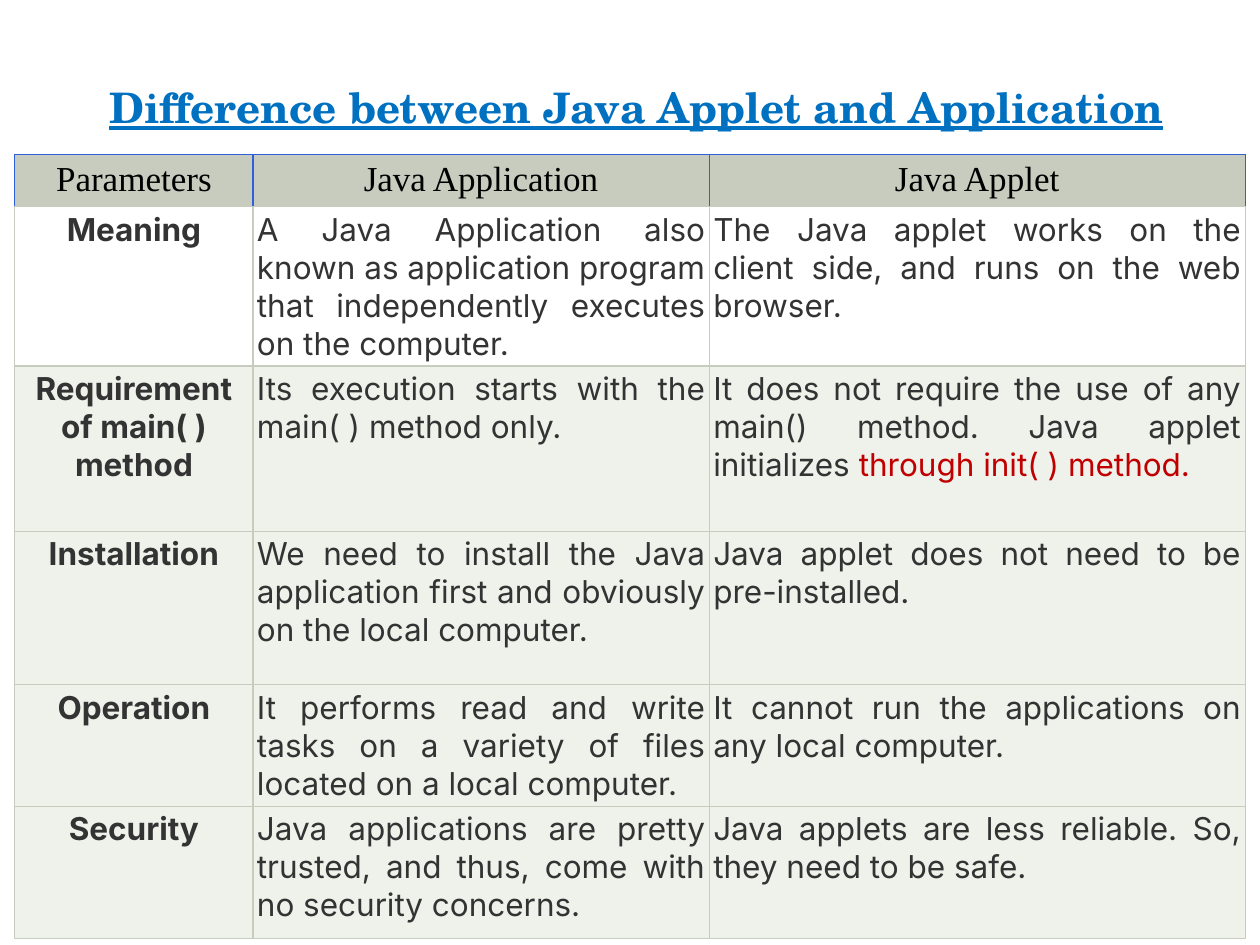
from lxml.etree import SubElement as Sub
from pptx import Presentation
from pptx.dml.color import RGBColor as RGB
from pptx.enum.text import PP_ALIGN as Align
from pptx.oxml.ns import qn
from pptx.util import Cm, Pt

BLACK = RGB(0x00, 0x00, 0x00)
WHITE = RGB(0xFF, 0xFF, 0xFF)
GRAY = RGB(0x33, 0x33, 0x33)
SAGE = RGB(0xC7, 0xCC, 0xBE)
PALE = RGB(0xEF, 0xF1, 0xEB)
BLUE = RGB(0x00, 0x70, 0xC0)
EDGE = RGB(0x30, 0x5F, 0xDA)
RED = RGB(0xC0, 0x00, 0x00)

HEAD = ["Parameters", "Java Application", "Java Applet"]
ROWS = [
    ("Meaning",
     "A Java Application also known as application program that independently executes on the computer.",
     "The Java applet works on the client side, and runs on the web browser."),
    ("Requirement of main( ) method",
     "Its execution starts with the main( ) method only.",
     "It does not require the use of any main() method. Java applet initializes |through init( ) method."),
    ("Installation",
     "We need to install the Java application first and obviously on the local computer.",
     "Java applet does not need to be pre-installed."),
    ("Operation",
     "It performs read and write tasks on a variety of files located on a local computer.",
     "It cannot run the applications on any local computer."),
    ("Security",
     "Java applications are pretty trusted, and thus, come with no security concerns.",
     "Java applets are less reliable. So, they need to be safe."),
]
WIDTHS = [4.8, 9.2, 10.8]
HEIGHTS = [1.02, 3.2, 3.33, 3.1, 2.44, 2.67]


class Deck:
    """Holds the style and the current slide, and adds each kind of element."""

    title_font, head_font, body_font = "TeX Gyre Schola", "Times New Roman", "Inter"

    def __init__(self):
        self.show = Presentation()
        self.show.slide_width, self.show.slide_height = Cm(25.4), Cm(19.05)
        self.slide = self.show.slides.add_slide(self.show.slide_layouts[6])

    def text(self, frame, words, font, size, color, align, bold=False, line=False):
        para = frame.paragraphs[0]
        para.alignment = align
        style = para.font
        style.name, style.size, style.bold, style.underline = font, Pt(size), bold, line
        style.color.rgb = color
        plain, _, accent = words.partition("|")
        para.add_run().text = plain
        if accent:
            run = para.add_run()
            run.text = accent
            run.font.color.rgb = RED

    def title(self, words, left, top, width, height):
        box = self.slide.shapes.add_textbox(Cm(left), Cm(top), Cm(width), Cm(height))
        box.text_frame.word_wrap = True
        self.text(box.text_frame, words, self.title_font, 24, BLUE, Align.CENTER, True, True)

    def cell(self, cell, fill, inset, edges):
        cell.margin_left = cell.margin_right = Cm(inset)
        cell.margin_top = cell.margin_bottom = Cm(inset)
        props = cell._tc.get_or_add_tcPr()
        for side, color in zip("LRTB", edges):
            line = Sub(props, qn(f"a:ln{side}"), w=str(Pt(0.75)))
            Sub(Sub(line, qn("a:solidFill")), qn("a:srgbClr"), val=str(color))
        cell.fill.solid()
        cell.fill.fore_color.rgb = fill

    def table(self, left, top, head, rows, widths, heights):
        frame = self.slide.shapes.add_table(
            len(heights), len(widths), Cm(left), Cm(top), Cm(sum(widths)), Cm(sum(heights)))
        grid = frame.table
        grid.first_row = grid.horz_banding = False
        for col, width in zip(grid.columns, widths):
            col.width = Cm(width)
        for row, height in zip(grid.rows, heights):
            row.height = Cm(height)
        for c, words in enumerate(head):
            cell = grid.cell(0, c)
            self.cell(cell, SAGE, 0.1, [EDGE, EDGE, EDGE, SAGE])
            self.text(cell.text_frame, words, self.head_font, 20, BLACK, Align.CENTER)
        for r, row in enumerate(rows, 1):
            for c, words in enumerate(row):
                cell = grid.cell(r, c)
                self.cell(cell, WHITE if r == 1 else PALE, 0.08, [SAGE] * 4)
                align = Align.JUSTIFY if c else Align.CENTER
                self.text(cell.text_frame, words, self.body_font, 18, GRAY, align, c == 0)


def main():
    deck = Deck()
    deck.title("Difference between Java Applet and Application", 1.4, 1.52, 22.86, 2.54)
    deck.table(0.3, 3.12, HEAD, ROWS, WIDTHS, HEIGHTS)
    deck.show.save("out.pptx")


if __name__ == "__main__":
    main()
